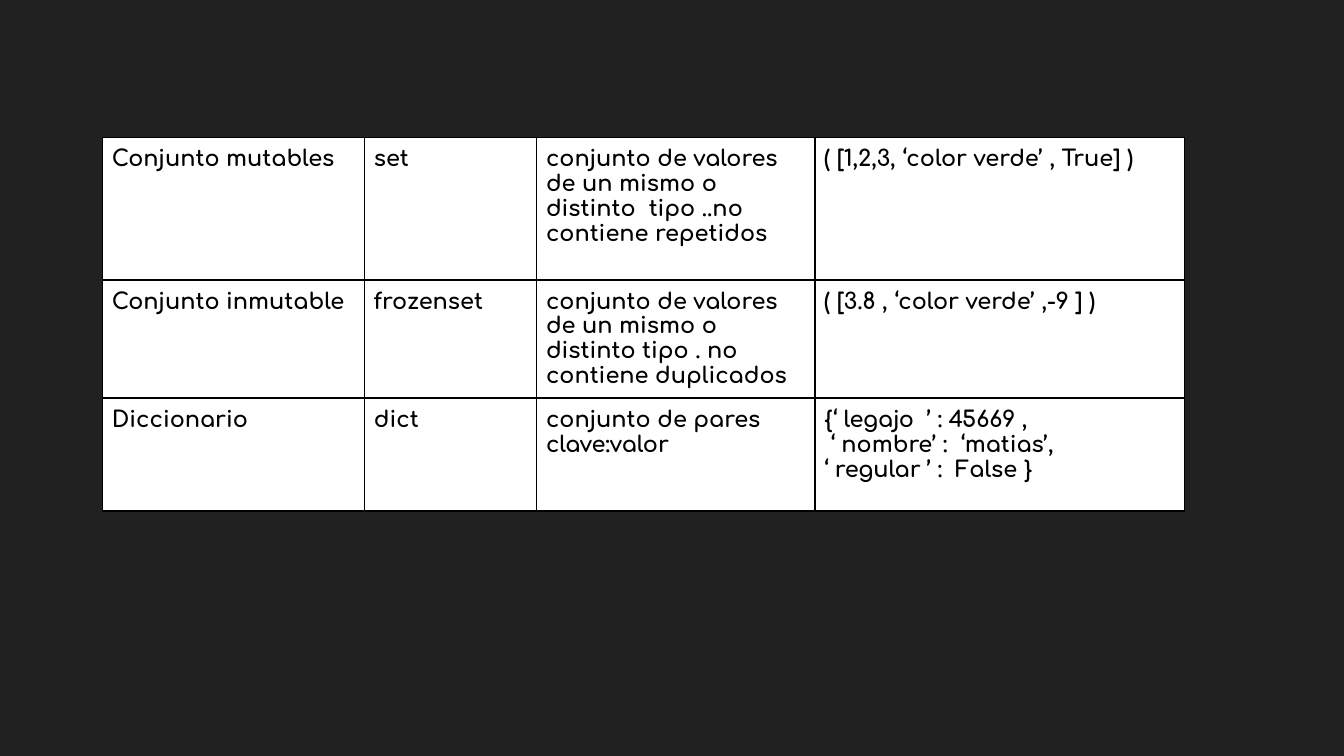
from pptx import Presentation
from pptx.dml.color import RGBColor
from pptx.oxml import parse_xml
from pptx.oxml.ns import nsdecls
from pptx.util import Pt

COLORS = {"background": "212121", "cell": "FFFFFF", "ink": "000000"}

COLUMN_WIDTHS = [140.4, 92.2, 149, 198]
ROW_HEIGHTS = [76.4, 63.2, 60.6]
DATA_TYPES = [
    ["Conjunto mutables", "set",
     "conjunto de valores de un mismo o distinto  tipo ..no contiene repetidos",
     "( [1,2,3, ‘color verde’ , True] )"],
    ["Conjunto inmutable", "frozenset",
     "conjunto de valores de un mismo o distinto tipo . no contiene duplicados",
     "( [3.8 , ‘color verde’ ,-9 ] )"],
    ["Diccionario", "dict",
     "conjunto de pares clave:valor",
     "{‘ legajo  ’ : 45669 ,\n ‘ nombre’ :  ‘matias’,\n‘ regular ’ :  False }"],
]


class Deck:
    font = "Comfortaa"
    size = Pt(12)
    margin = Pt(5.04)
    border = Pt(1)

    def __init__(self, width, height):
        self.prs = Presentation()
        self.prs.slide_width, self.prs.slide_height = Pt(width), Pt(height)
        self.s = None

    def color(self, name):
        return RGBColor.from_string(COLORS[name])

    def slide(self):
        self.s = self.prs.slides.add_slide(self.prs.slide_layouts[6])
        fill = self.s.background.fill
        fill.solid()
        fill.fore_color.rgb = self.color("background")

    def table(self, left, top, widths, heights, rows):
        frame = self.s.shapes.add_table(
            len(rows), len(widths), Pt(left), Pt(top),
            Pt(sum(widths)), Pt(sum(heights)))
        table = frame.table
        table.first_row = table.horz_banding = False
        for column, width in zip(table.columns, widths):
            column.width = Pt(width)
        for row, height, texts in zip(table.rows, heights, rows):
            row.height = Pt(height)
            for cell, text in zip(row.cells, texts):
                self.cell(cell, text)

    def cell(self, cell, text):
        cell.margin_left = cell.margin_right = self.margin
        cell.margin_top = cell.margin_bottom = self.margin
        self.borders(cell)
        cell.fill.solid()
        cell.fill.fore_color.rgb = self.color("cell")
        tf = cell.text_frame
        tf.text = text
        for p in tf.paragraphs:
            for r in p.runs:
                r.font.name = self.font
                r.font.size = self.size
                r.font.bold = True
                r.font.color.rgb = self.color("ink")

    def borders(self, cell):
        tcPr = cell._tc.get_or_add_tcPr()
        for side in "LRTB":
            tcPr.append(parse_xml(
                f'<a:ln{side} {nsdecls("a")} w="{self.border}"><a:solidFill>'
                f'<a:srgbClr val="{COLORS["ink"]}"/></a:solidFill></a:ln{side}>'))

    def save(self):
        self.prs.save("out.pptx")


def main():
    deck = Deck(720, 405)
    deck.slide()
    deck.table(54.9, 73.6, COLUMN_WIDTHS, ROW_HEIGHTS, DATA_TYPES)
    deck.save()


if __name__ == "__main__":
    main()
